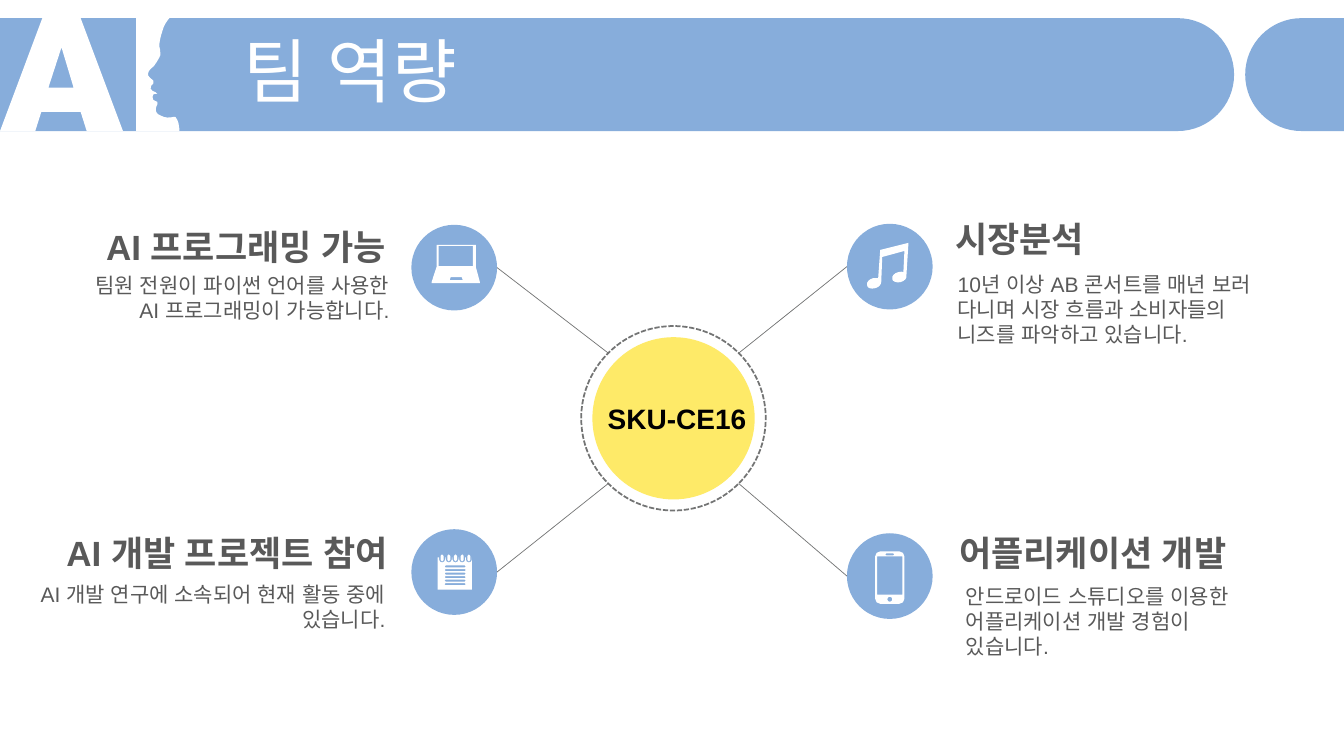
import math

import lxml.etree
import pptx
import pptx.dml.color
import pptx.enum.dml
import pptx.enum.shapes
import pptx.enum.text
import pptx.oxml.ns
import pptx.util

Inches = pptx.util.Inches
qn = pptx.oxml.ns.qn
ALIGN = pptx.enum.text.PP_ALIGN
COLOURS = {"blue": "87ADDB", "white": "FFFFFF", "yellow": "FEEA68",
           "grey": "737474", "text": "595959", "black": "000000"}
FONT = "Arial"
BANNER_TOP, BANNER_BOTTOM = 0.18, 1.3
BANNER_RADIUS = (BANNER_BOTTOM - BANNER_TOP) / 2
ICON_SIZE = 0.85
HUB_X, HUB_Y, HUB_SIZE, ORBIT_SIZE = 6.68, 4.15, 1.61, 1.83

TITLE = ("팀 역량", (2.32, 0.37, 10.69, 0.79))
HUB_LABEL = ("SKU-CE16", (5.8, 3.93, 1.83, 0.44))
SKILLS = [
    {"icon": (4.08, 2.23), "align": ALIGN.RIGHT,
     "heading": ("AI 프로그래밍 가능", (0.46, 2.19, 3.46, 0.52)),
     "detail": ("팀원 전원이 파이썬 언어를 사용한\nAI 프로그래밍이 가능합니다.", (0.47, 2.65, 3.49, 0.61))},
    {"icon": (8.4, 2.22), "align": ALIGN.LEFT,
     "heading": ("시장분석", (9.38, 2.11, 2.97, 0.52)),
     "detail": ("10년 이상 AB 콘서트를 매년 보러 다니며 시장 흐름과 소비자들의 니즈를 파악하고 있습니다.",
                (9.4, 2.64, 3.47, 0.86))},
    {"icon": (4.08, 5.25), "align": ALIGN.RIGHT,
     "heading": ("AI 개발 프로젝트 참여", (0.27, 5.22, 3.67, 0.52)),
     "detail": ("AI 개발 연구에 소속되어 현재 활동 중에 있습니다.", (0.27, 5.72, 3.65, 0.61))},
    {"icon": (8.4, 5.29), "align": ALIGN.LEFT,
     "heading": ("어플리케이션 개발", (9.42, 5.22, 3.11, 0.52)),
     "detail": ("안드로이드 스튜디오를 이용한 어플리케이션 개발 경험이 있습니다.", (9.48, 5.74, 2.99, 0.86))},
]

LETTER_A = [
    [(0.42, 0.18), (0.8, 0.18), (1.22, 1.3), (0.86, 1.3), (0.8, 1.11),
     (0.41, 1.11), (0.35, 1.3), (0, 1.3)],
    [(0.61, 0.47), (0.48, 0.87), (0.73, 0.87)],
]
PROFILE = [[
    (1.35, 0.18), (1.68, 0.18), (1.66, 0.2, 1.62, 0.26, 1.61, 0.31),
    (1.59, 0.37, 1.58, 0.42, 1.58, 0.46), (1.59, 0.48, 1.59, 0.51, 1.59, 0.55),
    (1.58, 0.57), (1.57, 0.59, 1.53, 0.66, 1.51, 0.67),
    (1.48, 0.69, 1.46, 0.73, 1.47, 0.75), (1.48, 0.77, 1.5, 0.78, 1.51, 0.79),
    (1.52, 0.79, 1.53, 0.81, 1.52, 0.83), (1.52, 0.84, 1.5, 0.84, 1.5, 0.85),
    (1.49, 0.87, 1.49, 0.89, 1.51, 0.9), (1.53, 0.91, 1.56, 0.92, 1.56, 0.93),
    (1.56, 0.93, 1.52, 0.93, 1.52, 0.94), (1.51, 0.95, 1.51, 0.97, 1.52, 0.99),
    (1.52, 1, 1.55, 1, 1.56, 1.01), (1.57, 1.03, 1.56, 1.03, 1.55, 1.06),
    (1.54, 1.09, 1.54, 1.13, 1.6, 1.15), (1.64, 1.17, 1.68, 1.17, 1.72, 1.16),
    (1.74, 1.16), (1.76, 1.18, 1.76, 1.2, 1.77, 1.22),
    (1.77, 1.24, 1.78, 1.26, 1.78, 1.3), (1.35, 1.3),
]]
LAPTOP = [
    [(4.33, 2.43), (4.72, 2.43), (4.72, 2.65), (4.76, 2.8), (4.76, 2.81),
     (4.28, 2.81), (4.28, 2.8), (4.33, 2.65)],
    [(4.35, 2.44), (4.35, 2.64), (4.69, 2.64), (4.69, 2.44)],
    [(4.47, 2.75), (4.46, 2.78), (4.59, 2.78), (4.58, 2.75)],
]
MUSIC = [[
    (9.01, 2.41), (8.99, 2.73), (9, 2.76, 8.97, 2.79, 8.93, 2.8),
    (8.89, 2.81, 8.85, 2.79, 8.85, 2.77), (8.84, 2.74, 8.87, 2.71, 8.91, 2.7),
    (8.93, 2.69, 8.95, 2.7, 8.96, 2.7), (8.97, 2.49), (8.75, 2.55), (8.74, 2.8),
    (8.74, 2.82, 8.72, 2.85, 8.68, 2.86), (8.64, 2.87, 8.6, 2.86, 8.6, 2.83),
    (8.59, 2.8, 8.62, 2.77, 8.66, 2.76), (8.68, 2.76, 8.7, 2.76, 8.71, 2.76), (8.73, 2.48),
]]


def arc(x, y, radius, start, quarters, turn=1):
    pull = 0.5523 * turn
    items = []
    for i in range(quarters + 1):
        angle = math.radians(start + 90 * turn * i)
        cos, sin = math.cos(angle), math.sin(angle)
        point = (x + radius * cos, y + radius * sin)
        leave = (point[0] - pull * radius * sin, point[1] + pull * radius * cos)
        arrive = (point[0] + pull * radius * sin, point[1] - pull * radius * cos)
        items.append(departure + arrive + point if i else point)
        departure = leave
    return items


def rounded(left, top, width, height, radius=0):
    right, bottom = left + width - radius, top + height - radius
    corners = [(right, bottom), (left + radius, bottom),
               (left + radius, top + radius), (right, top + radius)]
    if not radius:
        return corners
    return [item for i, (x, y) in enumerate(corners) for item in arc(x, y, radius, 90 * i, 1)]


def notepad():
    spirals = [4.385 + 0.0665 * i for i in range(5)]
    body = [(4.34, 5.53)]
    for x in spirals:
        body += [(x - 0.03, 5.53)] + arc(x, 5.55, 0.03, 180, 2, -1) + [(x + 0.03, 5.53)]
    body += [(4.68, 5.53), (4.68, 5.85), (4.34, 5.85)]
    rules = [rounded(4.41, 5.61 + 0.035 * i, 0.21, 0.02, 0.01) for i in range(6)]
    return [body] + rules + [rounded(x - 0.015, 5.5, 0.03, 0.07, 0.015) for x in spirals]


def phone():
    return [rounded(8.68, 5.47, 0.29, 0.52, 0.05), rounded(8.7, 5.52, 0.25, 0.38),
            rounded(8.78, 5.49, 0.09, 0.02, 0.01), arc(8.825, 5.945, 0.025, 0, 4)]


def rgb(colour):
    return pptx.dml.color.RGBColor.from_string(COLOURS[colour])


def paint(shape, colour):
    shape.shadow.inherit = False
    shape.fill.solid()
    shape.fill.fore_color.rgb = rgb(colour)
    shape.line.fill.background()


def add_outline(page, contours, colour):
    builder = None
    for contour in contours:
        points = [(Inches(item[i]), Inches(item[i + 1]))
                  for item in contour for i in range(0, len(item), 2)]
        if builder is None:
            builder = page.shapes.build_freeform(*points[0])
        else:
            builder.move_to(*points[0])
        builder.add_line_segments(points[1:], close=True)
    outline = builder.convert_to_shape()
    paint(outline, colour)
    nodes = iter(list(next(outline._element.iter(qn("a:path")))))
    for contour in contours:
        for item in contour:
            node = next(nodes)
            if len(item) == 6:
                node.tag = qn("a:cubicBezTo")
                for extra in (next(nodes), next(nodes)):
                    node.append(extra[0])
                    extra.getparent().remove(extra)
        next(nodes)


def add_circle(holder, left, top, size, colour):
    circle = holder.shapes.add_shape(pptx.enum.shapes.MSO_SHAPE.OVAL,
                                     Inches(left), Inches(top), Inches(size), Inches(size))
    paint(circle, colour)
    return circle


def add_text(page, content, size, colour, bold=False, align=ALIGN.LEFT):
    text, place = content
    box = page.shapes.add_textbox(*map(Inches, place))
    frame = box.text_frame
    frame.word_wrap = True
    frame.auto_size = pptx.enum.text.MSO_AUTO_SIZE.SHAPE_TO_FIT_TEXT
    frame.text = text
    for para in frame.paragraphs:
        para.alignment = align
        for span in para.runs:
            span.font.name = FONT
            span.font.size = pptx.util.Pt(size)
            span.font.bold = bold
            span.font.color.rgb = rgb(colour)
            lxml.etree.SubElement(span.font._element, qn("a:ea"), typeface=FONT)
    return frame


def add_spoke(page, icon_left, icon_top):
    on_left = icon_left < HUB_X
    reach = ORBIT_SIZE / 2 * math.sqrt(0.5)
    start_x = icon_left + ICON_SIZE if on_left else icon_left
    end_x = HUB_X - reach if on_left else HUB_X + reach
    end_y = HUB_Y - reach if icon_top < HUB_Y else HUB_Y + reach
    spoke = page.shapes.add_connector(
        pptx.enum.shapes.MSO_CONNECTOR.STRAIGHT, Inches(start_x),
        Inches(icon_top + ICON_SIZE / 2), Inches(end_x), Inches(end_y))
    spoke.line.color.rgb = rgb("grey")
    spoke.line.width = pptx.util.Pt(0.5)
    lxml.etree.SubElement(spoke._element.spPr, qn("a:effectLst"))


def main():
    deck = pptx.Presentation()
    deck.slide_width, deck.slide_height = Inches(13.33), Inches(7.5)
    page = deck.slides.add_slide(deck.slide_layouts[6])

    middle = BANNER_TOP + BANNER_RADIUS
    banner = [(0, BANNER_TOP)] + arc(11.68, middle, BANNER_RADIUS, -90, 2) + [(0, BANNER_BOTTOM)]
    tail = [(13.33, BANNER_BOTTOM)] + arc(12.91, middle, BANNER_RADIUS, 90, 2) + [(13.33, BANNER_TOP)]
    add_outline(page, [banner], "blue")
    add_outline(page, LETTER_A + PROFILE, "white")
    add_outline(page, [tail], "blue")
    title = add_text(page, TITLE, 50, "white")
    title.auto_size = pptx.enum.text.MSO_AUTO_SIZE.NONE
    title.vertical_anchor = pptx.enum.text.MSO_ANCHOR.MIDDLE
    title.paragraphs[0].line_spacing = 0.8

    hub = page.shapes.add_group_shape()
    add_circle(hub, HUB_X - HUB_SIZE / 2, HUB_Y - HUB_SIZE / 2, HUB_SIZE, "yellow")
    orbit = add_circle(hub, HUB_X - ORBIT_SIZE / 2, HUB_Y - ORBIT_SIZE / 2, ORBIT_SIZE, "white")
    orbit.fill.background()
    orbit.line.color.rgb = rgb("grey")
    orbit.line.width = pptx.util.Pt(1.25)
    orbit.line.dash_style = pptx.enum.dml.MSO_LINE.SQUARE_DOT
    add_text(page, HUB_LABEL, 20, "black", True, ALIGN.CENTER)

    for skill, icon in zip(SKILLS, (LAPTOP, MUSIC, notepad(), phone())):
        add_circle(page, *skill["icon"], ICON_SIZE, "blue")
        add_outline(page, icon, "white")
        add_spoke(page, *skill["icon"])
        add_text(page, skill["heading"], 25, "text", True, skill["align"])
        add_text(page, skill["detail"], 15, "text", False, skill["align"])

    deck.save("out.pptx")


if __name__ == "__main__":
    main()
